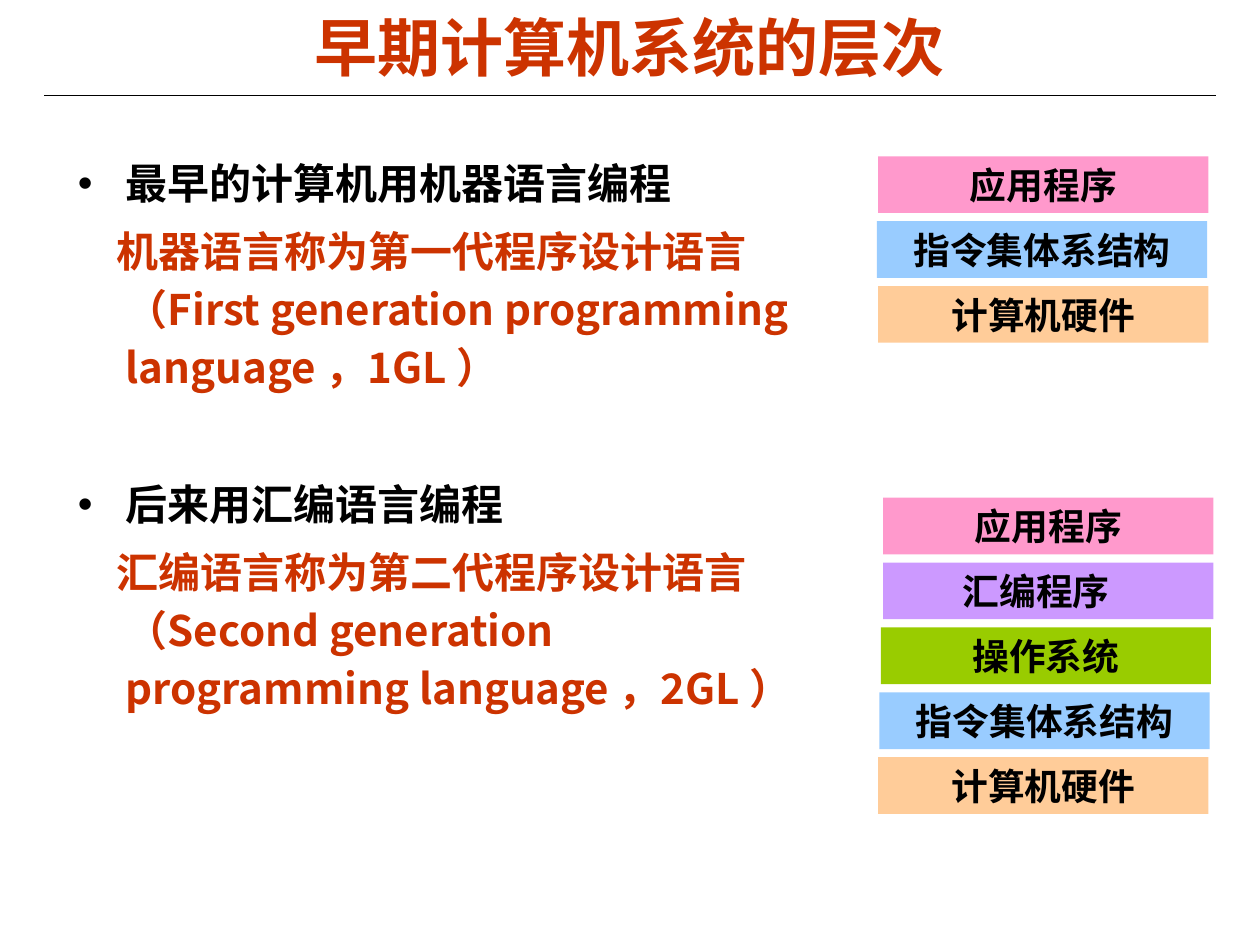
from lxml.etree import SubElement
from pptx import Presentation
from pptx.dml.color import RGBColor
from pptx.enum.shapes import MSO_CONNECTOR, MSO_SHAPE
from pptx.enum.text import MSO_ANCHOR, PP_ALIGN
from pptx.oxml.ns import qn
from pptx.util import Inches, Pt

HUES = {
    "black": "000000", "red": "CC3300", "pink": "FF99CC", "blue": "99CCFF",
    "peach": "FFCC99", "violet": "CC99FF", "green": "99CC00",
}
CJK = "Noto Sans CJK SC"


def style(para, size, hue, face):
    for run in para.runs:
        font = run.font
        font.size, font.bold, font.name = Pt(size), True, face
        font.color.rgb = RGBColor.from_string(HUES[hue])
        SubElement(run._r.get_or_add_rPr(), qn("a:ea"), typeface=CJK)


deck = Presentation()
deck.slide_width, deck.slide_height = Inches(10), Inches(7.5)
slide = deck.slides.add_slide(deck.slide_layouts[6])
shapes = slide.shapes

rule = shapes.add_connector(
    MSO_CONNECTOR.STRAIGHT, Inches(0.35), Inches(0.76), Inches(9.65), Inches(0.76))
rule.line.width = Pt(0.75)
rule.line.color.rgb = RGBColor.from_string(HUES["black"])
SubElement(rule._element.spPr, qn("a:effectLst"))

title = shapes.add_textbox(Inches(0.5), Inches(0.06), Inches(9), Inches(0.61))
frame = title.text_frame
frame.word_wrap = True
frame.vertical_anchor = MSO_ANCHOR.MIDDLE
frame.text = "早期计算机系统的层次"
frame.paragraphs[0].alignment = PP_ALIGN.CENTER
style(frame.paragraphs[0], 36, "red", "Arial")

points = [
    ("最早的计算机用机器语言编程", True, 0),
    ("机器语言称为第一代程序设计语言（First generation programming language ，1GL ）", False, 6),
    ("后来用汇编语言编程", True, 45),
    ("汇编语言称为第二代程序设计语言（Second generation programming language ，2GL ）", False, 6),
]
body = shapes.add_textbox(Inches(0.52), Inches(1.14), Inches(6.16), Inches(5.69))
frame = body.text_frame
frame.word_wrap = True
frame.text = "\n".join(text for text, head, gap in points)
for para, (text, head, gap) in zip(frame.paragraphs, points):
    para.line_spacing = 1.15
    if gap:
        para.space_before = Pt(gap)
    props = para._p.get_or_add_pPr()
    props.set("marL", str(Inches(0.38)))
    props.set("indent", str(Inches(-0.38 if head else -0.07)))
    if head:
        SubElement(props, qn("a:buFont"), typeface="Arial")
        SubElement(props, qn("a:buChar"), char="•")
    else:
        SubElement(props, qn("a:buNone"))
    style(para, 24, "black" if head else "red", CJK)

app = ("应用程序", "pink")
isa = ("指令集体系结构", "blue")
hard = ("计算机硬件", "peach")
stacks = [
    (1.24, [6.97, 6.96, 6.97], [app, isa, hard]),
    (3.95, [7.01, 7.01, 6.99, 6.98, 6.97],
     [app, ("汇编程序", "violet"), ("操作系统", "green"), isa, hard]),
]
for top, lefts, layers in stacks:
    for row, (left, (name, hue)) in enumerate(zip(lefts, layers)):
        box = shapes.add_shape(
            MSO_SHAPE.RECTANGLE, Inches(left), Inches(top + row * 0.515),
            Inches(2.62), Inches(0.45))
        box.shadow.inherit = False
        box.fill.solid()
        box.fill.fore_color.rgb = RGBColor.from_string(HUES[hue])
        box.line.fill.background()
        frame = box.text_frame
        frame.vertical_anchor = MSO_ANCHOR.MIDDLE
        frame.text = name
        para = frame.paragraphs[0]
        para.alignment = PP_ALIGN.CENTER
        if hue == "violet":
            para.alignment = PP_ALIGN.LEFT
            frame.margin_left = Inches(0.63)
        style(para, 21, "black", "Arial")

deck.save("out.pptx")
